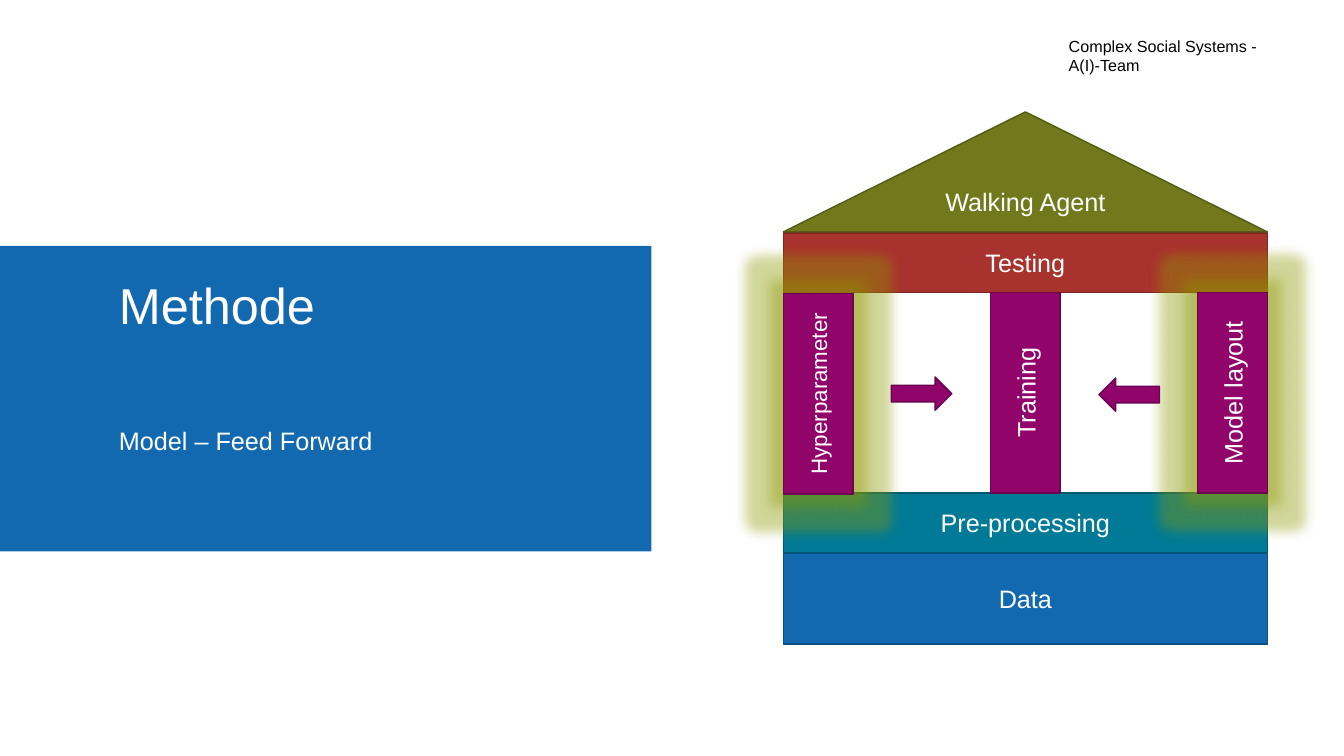
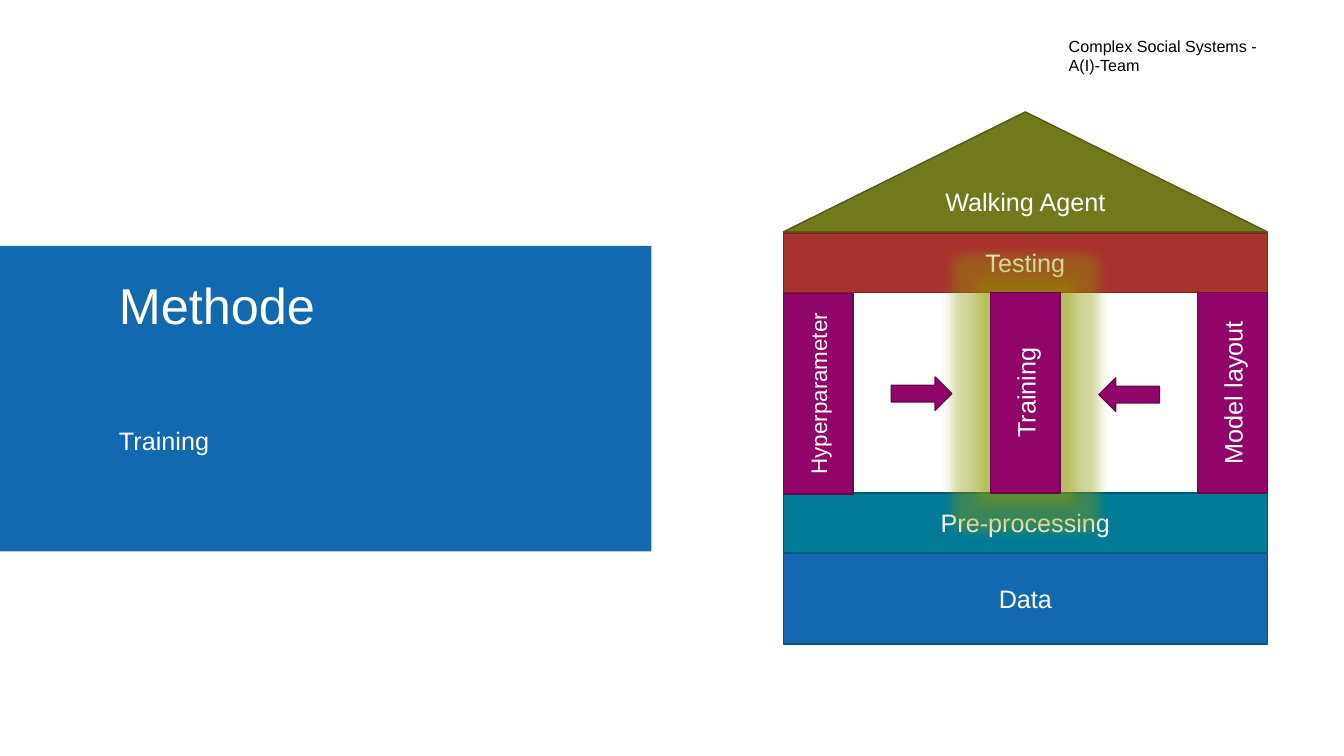
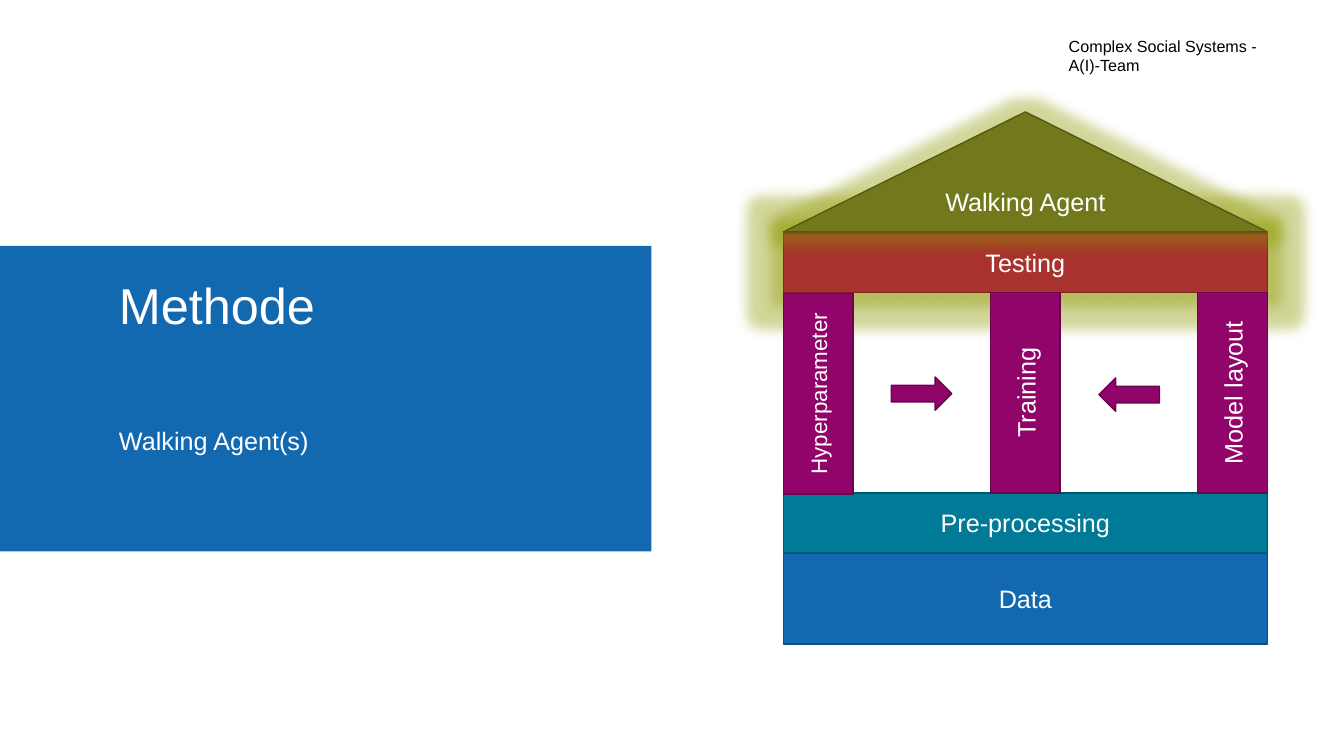
from lxml import etree
from pptx import Presentation
from pptx.dml.color import RGBColor
from pptx.enum.shapes import MSO_SHAPE
from pptx.enum.text import MSO_ANCHOR, MSO_AUTO_SIZE, PP_ALIGN
from pptx.oxml.ns import qn
from pptx.util import Inches, Pt

RECT = MSO_SHAPE.RECTANGLE
TRIANGLE = MSO_SHAPE.ISOSCELES_TRIANGLE
RIGHT_ARROW = MSO_SHAPE.RIGHT_ARROW
LEFT_ARROW = MSO_SHAPE.LEFT_ARROW
LEFT, CENTER = PP_ALIGN.LEFT, PP_ALIGN.CENTER
TOP, MIDDLE, BOTTOM = MSO_ANCHOR.TOP, MSO_ANCHOR.MIDDLE, MSO_ANCHOR.BOTTOM

FONT = "Arial"
WHITE, BLACK = "FFFFFF", "000000"
BLUE = ("1269B0", "0D4E82")
TEAL = ("007A96", "005A6F")
RED = ("A8322D", "7C2521")
PURPLE = ("91056A", "6B044E")
OLIVE = ("72791C", "545A15")
GLOW_COLOR, GLOW_ALPHA, GLOW_RADIUS = "8E9900", 40, 18

HOUSE_LEFT, HOUSE_WIDTH = 7.77, 4.8
FLOORS = [
    ("Data", RECT, 5.49, 0.9, BLUE),
    ("Pre-processing", RECT, 4.89, 0.59, TEAL),
    ("Testing", RECT, 2.31, 0.59, RED),
]
ROOF = ("Walking Agent", TRIANGLE, 1.11, 1.19, OLIVE)
PILLAR_LENGTH, PILLAR_WIDTH = 1.99, 0.69
PILLAR_GAP = (HOUSE_WIDTH - PILLAR_WIDTH) / 2
PILLARS = [
    ("Training", 1, 3.55, 18),
    ("Hyperparameter", 0, 3.56, 16),
    ("Model layout", 2, 3.55, 18),
]
ARROWS = [(RIGHT_ARROW, 8.84, 3.74), (LEFT_ARROW, 10.9, 3.75)]

SLIDES = [
    ("Model – Feed Forward", ["Hyperparameter", "Model layout"]),
    ("Training", ["Training"]),
    ("Walking Agent(s)", ["Testing", "Walking Agent"]),
]


def rgb(color):
    return RGBColor.from_string(color)


def box(left, top, width, height):
    return [Inches(v) for v in (left, top, width, height)]


def write(sp, text, size, color=WHITE, align=LEFT, anchor=TOP, insets=None):
    tf = sp.text_frame
    tf.word_wrap = True
    tf.auto_size = MSO_AUTO_SIZE.NONE
    tf.vertical_anchor = anchor
    if insets:
        tf.margin_left, tf.margin_top, tf.margin_right, tf.margin_bottom = box(*insets)
    p = tf.paragraphs[0]
    p.alignment = align
    r = p.add_run()
    r.text = text
    r.font.name = FONT
    r.font.size = Pt(size)
    r.font.color.rgb = rgb(color)


def add_title(s, text):
    sp = s.shapes.title
    sp.left, sp.top, sp.width, sp.height = box(0, 2.44, 6.46, 3.03)
    sp.fill.solid()
    sp.fill.fore_color.rgb = rgb(BLUE[0])
    write(sp, text, 36, insets=(1.18, 0.28, 0, 0))


def add_text(s, at, text, size, color, anchor=TOP):
    sp = s.shapes.add_textbox(*box(*at))
    write(sp, text, size, color, anchor=anchor, insets=(0, 0, 0, 0))


def add_glow(sp):
    effects = sp._element.spPr.find(qn("a:effectLst"))
    glow = etree.SubElement(effects, qn("a:glow"), rad=str(Pt(GLOW_RADIUS)))
    color = etree.SubElement(glow, qn("a:srgbClr"), val=GLOW_COLOR)
    etree.SubElement(color, qn("a:alpha"), val=str(GLOW_ALPHA * 1000))


def add_block(group, kind, at, colors, text="", size=18, glow=False):
    sp = group.shapes.add_shape(kind, *box(*at))
    sp.shadow.inherit = False
    sp.fill.solid()
    sp.fill.fore_color.rgb = rgb(colors[0])
    sp.line.color.rgb = rgb(colors[1])
    sp.line.width = Pt(1)
    if text:
        write(sp, text, size, align=CENTER, anchor=MIDDLE)
    if glow:
        add_glow(sp)
    return sp


def add_floor(group, floor, glowing):
    text, kind, top, height, colors = floor
    at = (HOUSE_LEFT, top, HOUSE_WIDTH, height)
    add_block(group, kind, at, colors, text, glow=text in glowing)


def add_house(s, glowing):
    group = s.shapes.add_group_shape()
    for floor in FLOORS:
        add_floor(group, floor, glowing)
    for text, column, top, size in PILLARS:
        center = HOUSE_LEFT + PILLAR_WIDTH / 2 + column * PILLAR_GAP
        at = (center - PILLAR_LENGTH / 2, top, PILLAR_LENGTH, PILLAR_WIDTH)
        sp = add_block(group, RECT, at, PURPLE, text, size, text in glowing)
        sp.rotation = 270
    add_floor(group, ROOF, glowing)
    for kind, left, top in ARROWS:
        add_block(group, kind, (left, top, 0.6, 0.33), PURPLE)


def main():
    prs = Presentation()
    prs.slide_width, prs.slide_height = Inches(13.33), Inches(7.5)
    for subtitle, glowing in SLIDES:
        s = prs.slides.add_slide(prs.slide_layouts[5])
        add_title(s, "Methode")
        add_text(s, (1.18, 4.22, 5.12, 1.1), subtitle, 18, WHITE)
        add_text(s, (10.6, 0.35, 1.97, 0.39),
                 "Complex Social Systems - A(I)-Team", 11.5, BLACK, BOTTOM)
        add_house(s, glowing)
    prs.save("out.pptx")


if __name__ == "__main__":
    main()
